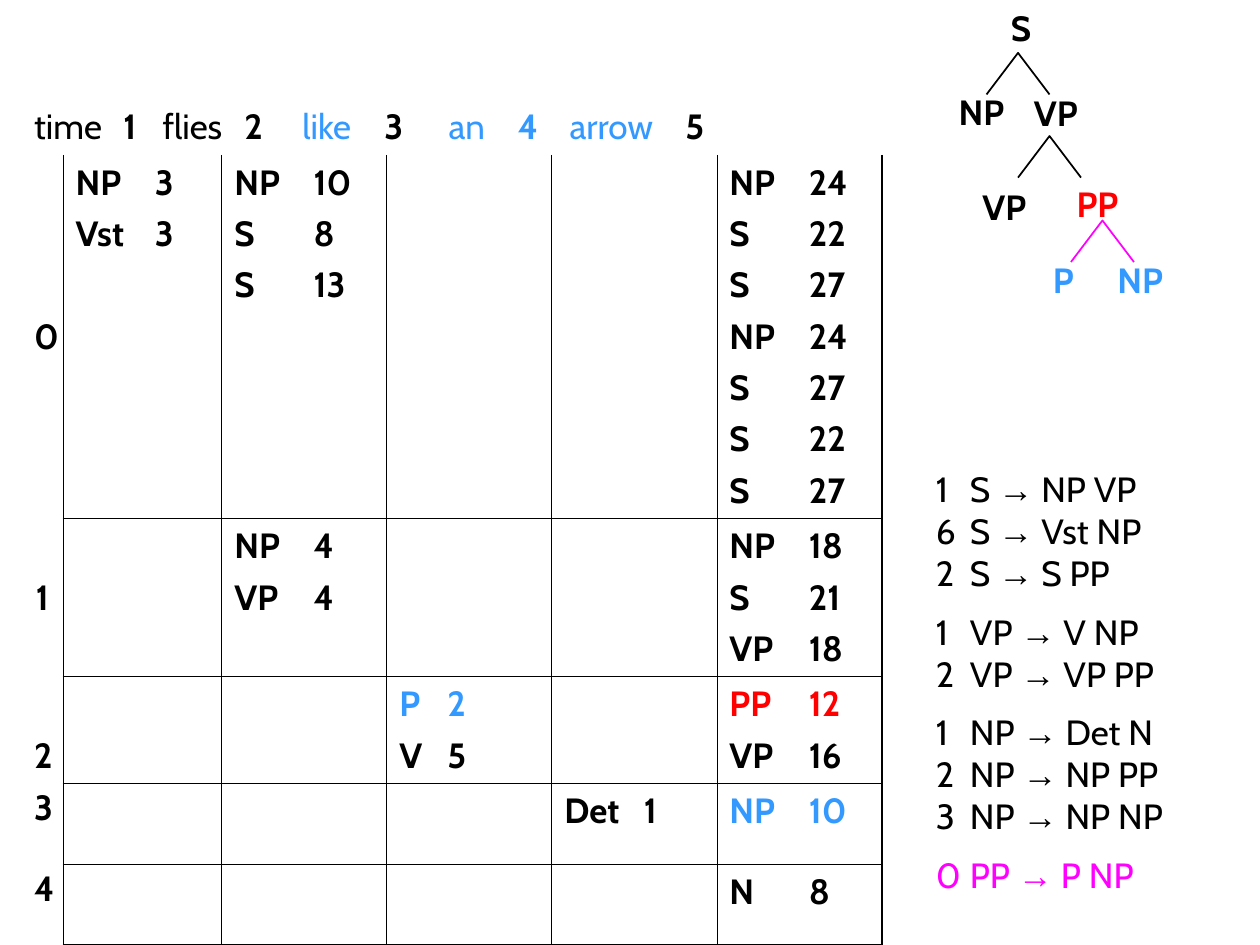
from lxml import etree
from pptx import Presentation
from pptx.dml.color import RGBColor
from pptx.enum.text import MSO_AUTO_SIZE, PP_ALIGN
from pptx.oxml.ns import qn
from pptx.util import Inches, Pt

LEFT, CENTER = PP_ALIGN.LEFT, PP_ALIGN.CENTER
GROW = MSO_AUTO_SIZE.SHAPE_TO_FIT_TEXT
BLACK = RGBColor(0x00, 0x00, 0x00)
BLUE = RGBColor(0x33, 0x99, 0xFF)
RED = RGBColor(0xFF, 0x00, 0x00)
PINK = RGBColor(0xFF, 0x00, 0xFF)
THIN, THICK = 0.45, 1.08
PITCH = 0.41  # height of one chart entry

# words and positions of the sentence: text, tab stop, colour, bold
WORDS = [
    ("time", 0, BLACK, False), ("1", 0.71, BLACK, True),
    ("flies", 1.02, BLACK, False), ("2", 1.67, BLACK, True),
    ("like", 2.13, BLUE, False), ("3", 2.78, BLACK, True),
    ("an", 3.29, BLUE, False), ("4", 3.84, BLUE, True),
    ("arrow", 4.25, BLUE, False), ("5", 5.17, BLACK, True),
]
COLS = [0.33, 1.26, 1.31, 1.31, 1.31, 1.31]
ROWS = [0.43, 2.85, 1.24, 0.84, 0.64, 0.64]
# start position and its top inset
STARTS = [("0", 0.05 + 3 * PITCH), ("1", 0.05 + PITCH),
          ("2", 0.05 + PITCH), ("3", 0.03), ("4", 0.03)]
# (start, end): entries of the chart
CHART = {
    (0, 1): ["NP 3", "Vst 3"],
    (0, 2): ["NP 10", "S 8", "S 13"],
    (0, 5): ["NP 24", "S 22", "S 27", "NP 24", "S 27", "S 22", "S 27"],
    (1, 2): ["NP 4", "VP 4"],
    (1, 5): ["NP 18", "S 21", "VP 18"],
    (2, 3): ["P 2", "V 5"],
    (2, 5): ["PP 12", "VP 16"],
    (3, 4): ["Det 1"],
    (3, 5): ["NP 10"],
    (4, 5): ["N 8"],
}
MARKED = {(2, 3, "P 2"): BLUE, (2, 5, "PP 12"): RED, (3, 5, "NP 10"): BLUE}

# groups of grammar rules: weight, head, body
RULES = [
    [("1", "S", "NP VP"), ("6", "S", "Vst NP"), ("2", "S", "S PP")],
    [("1", "VP", "V NP"), ("2", "VP", "VP PP")],
    [("1", "NP", "Det N"), ("2", "NP", "NP PP"), ("3", "NP", "NP NP")],
    [("0", "PP", "P NP")],
]

# parse tree: label, centre, top, colour
NODES = [
    ("S", 8.1, 0, BLACK), ("NP", 7.79, 0.67, BLACK),
    ("VP", 8.38, 0.68, BLACK), ("VP", 7.97, 1.42, BLACK),
    ("PP", 8.71, 1.4, RED), ("P", 8.44, 2, BLUE), ("NP", 9.05, 2, BLUE),
]
WIDTHS = {"S": 0.35, "P": 0.37, "NP": 0.6, "VP": 0.55, "PP": 0.55}
FORKS = [(8.75, 1.75, PINK), (8.33, 1.08, BLACK), (8.08, 0.42, BLACK)]


def write(para, text, color=BLACK, bold=False, align=LEFT, tabs=(),
          before=0, spacing=None):
    """Add text to a paragraph, with arrows set in Arial."""
    props = para._p.get_or_add_pPr()
    if tabs and props.find(qn("a:tabLst")) is None:
        stops = etree.SubElement(props, qn("a:tabLst"))
        for stop in tabs:
            etree.SubElement(stops, qn("a:tab"),
                             pos=str(Inches(stop)), algn="l")
    para.alignment = align
    para.space_before = Pt(before)
    if spacing:
        para.line_spacing = spacing
    head, arrow, tail = text.partition("→")
    for part, face in ((head, "Cabin"), (arrow, "Arial"), (tail, "Cabin")):
        if part:
            run = para.add_run()
            run.text = part
            run.font.name = face
            run.font.size = Pt(20)
            run.font.bold = bold
            run.font.color.rgb = color


def next_para(frame, index):
    return frame.add_paragraph() if index else frame.paragraphs[0]


def edge(cell, side, width):
    """Draw one border of a cell, or clear it when width is 0."""
    line = etree.SubElement(cell._tc.get_or_add_tcPr(), qn("a:ln" + side))
    if width:
        line.set("w", str(Pt(width)))
        fill = etree.SubElement(line, qn("a:solidFill"))
        etree.SubElement(fill, qn("a:srgbClr"), val=str(BLACK))
    else:
        etree.SubElement(line, qn("a:noFill"))


def add_grid(slide):
    table = slide.shapes.add_table(
        len(ROWS), len(COLS), Inches(0.17), Inches(0.79),
        Inches(sum(COLS)), Inches(sum(ROWS))).table
    table.first_row = table.horz_banding = False
    for col, width in zip(table.columns, COLS):
        col.width = Inches(width)
    for row, height in zip(table.rows, ROWS):
        row.height = Inches(height)

    end_row, end_col = len(ROWS) - 1, len(COLS) - 1
    for r in range(len(ROWS)):
        for c in range(len(COLS)):
            cell = table.cell(r, c)
            inner = r > 0 and c > 0
            edge(cell, "L", THIN if inner else 0)
            edge(cell, "R", 0 if r == 0 else THICK if c == end_col else THIN)
            edge(cell, "T", THIN if inner and r > 1 else 0)
            edge(cell, "B", 0 if not inner else
                 THICK if r == end_row else THIN)
            cell.fill.background()

    top = table.cell(0, 0)
    top.merge(table.cell(0, end_col))
    stops = [stop for _, stop, _, _ in WORDS if stop]
    for i, (word, _, color, bold) in enumerate(WORDS):
        write(top.text_frame.paragraphs[0], "\t" + word if i else word,
              color=color, bold=bold, tabs=stops)

    for r, (label, inset) in enumerate(STARTS, 1):
        cell = table.cell(r, 0)
        cell.margin_top, cell.margin_bottom = Inches(inset), 0
        write(cell.text_frame.paragraphs[0], label, bold=True, align=CENTER)

    for (start, end), items in CHART.items():
        frame = table.cell(start + 1, end).text_frame
        stop = 0.38 if end == 3 else 0.63
        for i, item in enumerate(items):
            write(next_para(frame, i), item.replace(" ", "\t"), bold=True,
                  color=MARKED.get((start, end, item), BLACK),
                  tabs=[stop], before=5 if i else 0)


def add_box(slide, left, top, width, height, wrap):
    box = slide.shapes.add_textbox(
        Inches(left), Inches(top), Inches(width), Inches(height))
    box.text_frame.word_wrap = wrap
    box.text_frame.auto_size = GROW
    return box.text_frame


def add_rules(slide):
    frame = add_box(slide, 7.33, 3.66, 2.67, 3.6, True)
    count = 0
    for g, group in enumerate(RULES):
        for i, (weight, head, body) in enumerate(group):
            write(next_para(frame, count), f"{weight}\t{head} → {body}",
                  color=PINK if head == "PP" else BLACK, tabs=[0.27],
                  spacing=1.4 if g and i == 0 else None)
            count += 1


def add_tree(slide):
    for label, mid, top, color in NODES:
        width = WIDTHS[label]
        frame = add_box(slide, mid - width / 2, top, width, 0.44, False)
        write(frame.paragraphs[0], label, color=color, bold=True,
              align=CENTER)
    for x, y, color in FORKS:
        foot = Inches(y + 0.33)
        path = slide.shapes.build_freeform(Inches(x - 0.25), foot)
        path.add_line_segments(
            [(Inches(x), Inches(y)), (Inches(x + 0.25), foot)], close=False)
        fork = path.convert_to_shape()
        fork.shadow.inherit = False
        fork.fill.background()
        fork.line.color.rgb = color
        fork.line.width = Pt(1)


def main():
    deck = Presentation()
    deck.slide_width, deck.slide_height = Inches(10), Inches(7.5)
    slide = deck.slides.add_slide(deck.slide_layouts[6])
    add_grid(slide)
    add_rules(slide)
    add_tree(slide)
    deck.save("out.pptx")


if __name__ == "__main__":
    main()
